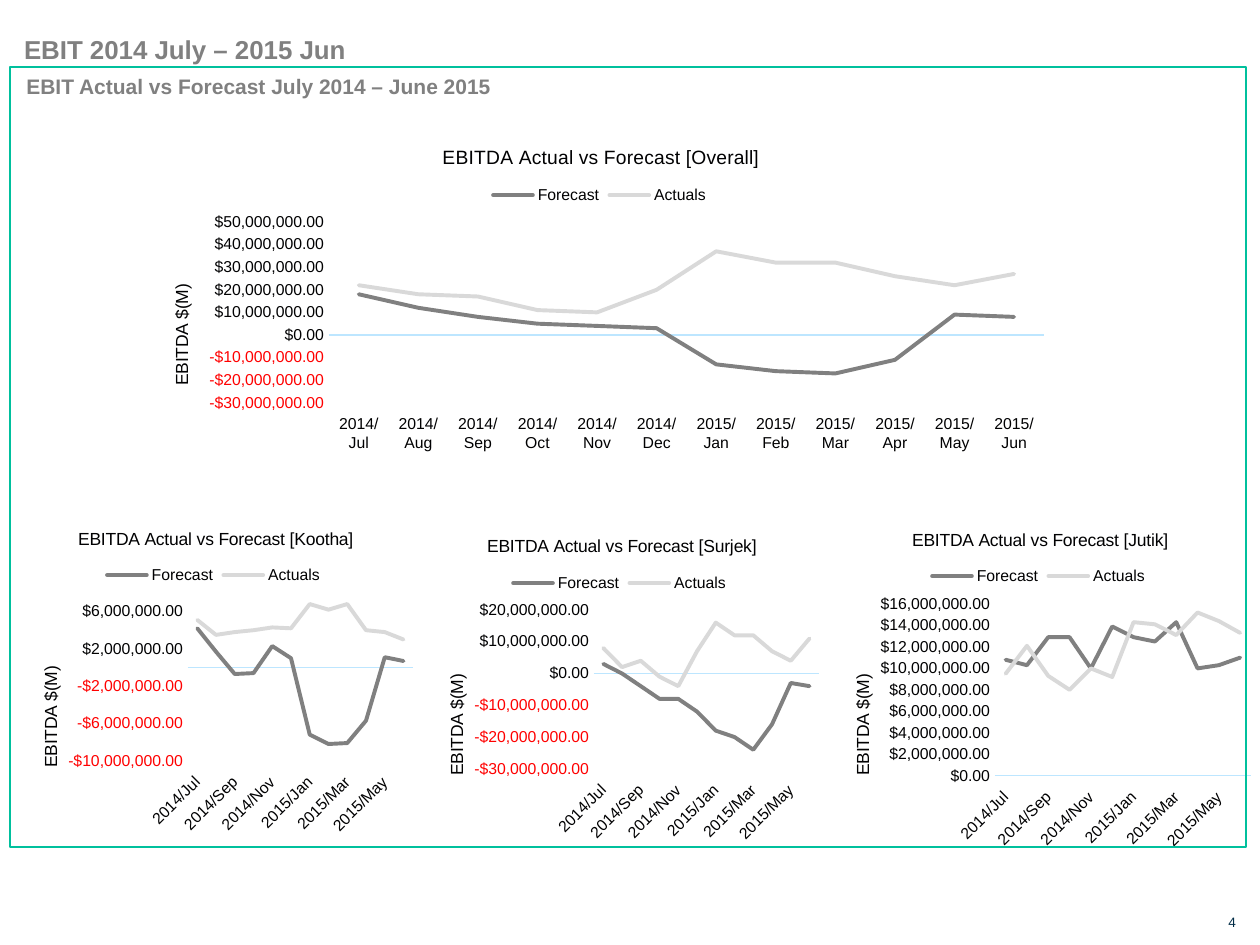
"""Build a slide of four EBITDA line charts, actual against forecast."""
from lxml import etree
from pptx import Presentation
from pptx.chart.data import CategoryChartData
from pptx.dml.color import RGBColor
from pptx.enum.chart import XL_CHART_TYPE, XL_LEGEND_POSITION, XL_TICK_LABEL_POSITION, XL_TICK_MARK
from pptx.enum.shapes import MSO_SHAPE
from pptx.enum.text import MSO_ANCHOR, MSO_AUTO_SIZE, PP_ALIGN
from pptx.oxml.ns import qn
from pptx.util import Pt

LINE = XL_CHART_TYPE.LINE
TOP = XL_LEGEND_POSITION.TOP
LOW = XL_TICK_LABEL_POSITION.LOW
NONE = XL_TICK_MARK.NONE
RECT = MSO_SHAPE.RECTANGLE
MIDDLE = MSO_ANCHOR.MIDDLE
FIXED = MSO_AUTO_SIZE.NONE
LEFT, RIGHT = PP_ALIGN.LEFT, PP_ALIGN.RIGHT

FONT = "Arial"
COLORS = {"grey": "808080", "pale": "D9D9D9", "ink": "010102",
          "axis": "BDE6FF", "frame": "00C09D", "navy": "002C46"}
MONEY = '"$"#,##0.00;[Red]\\-"$"#,##0.00'
MILLION = 1000000
MONTHS = ["2014/Jul", "2014/Aug", "2014/Sep", "2014/Oct", "2014/Nov", "2014/Dec",
          "2015/Jan", "2015/Feb", "2015/Mar", "2015/Apr", "2015/May", "2015/Jun"]

CHARTS = [
    {"name": "Overall", "size": 11, "turn": 0, "scale": (-30, 50, 10),
     "box": (139, 121, 924, 338), "plot": (329, 222, 715, 181),
     "title": (439, 140), "legend": (488, 181), "label": (167, 281),
     "Forecast": [18, 12, 8, 5, 4, 3, -13, -16, -17, -11, 9, 8],
     "Actuals": [22, 18, 17, 11, 10, 20, 37, 32, 32, 26, 22, 27]},
    {"name": "Kootha", "size": 10, "turn": -45, "scale": (-10, 8, 4),
     "box": (8, 505, 415, 338), "plot": (188, 593, 225, 168),
     "title": (75, 524), "legend": (102, 561), "label": (36, 663),
     "Forecast": [4.2, 1.7, -0.7, -0.6, 2.3, 1, -7.2, -8.2, -8.1, -5.7, 1.1, 0.7],
     "Actuals": [5.1, 3.5, 3.8, 4, 4.3, 4.2, 6.8, 6.2, 6.8, 4, 3.8, 3]},
    {"name": "Surjek", "size": 10, "turn": -45, "scale": (-30, 20, 10),
     "box": (413, 513, 415, 338), "plot": (594, 610, 225, 159),
     "title": (484, 531), "legend": (508, 569), "label": (442, 671),
     "Forecast": [3, 0, -4, -8, -8, -12, -18, -20, -24, -16, -3, -4],
     "Actuals": [8, 2, 4, -1, -4, 7, 16, 12, 12, 7, 4, 11]},
    {"name": "Jutik", "size": 10, "turn": -45, "scale": (0, 16, 2),
     "box": (820, 507, 440, 352), "plot": (995, 604, 256, 172),
     "title": (909, 525), "legend": (927, 562), "label": (848, 671),
     "Forecast": [10.8, 10.3, 12.9, 12.9, 10, 13.9, 12.9, 12.5, 14.3, 10, 10.3, 11],
     "Actuals": [9.5, 12.1, 9.3, 8, 10, 9.2, 14.3, 14.1, 13.1, 15.2, 14.4, 13.3]},
]


def px(*nums):
    return [round(n * 914400 / 126) for n in nums]


def color(key):
    return RGBColor.from_string(COLORS[key])


def style(font, size, key, bold=False):
    font.name, font.size, font.bold = FONT, Pt(size), bold
    font.color.rgb = color(key)


def write(shape, text, size, key, bold=False, align=LEFT, inset=None):
    frame = shape.text_frame
    frame.word_wrap, frame.auto_size = True, FIXED
    if inset is not None:
        frame.margin_left = frame.margin_right = inset
        frame.margin_top = frame.margin_bottom = inset
        frame.vertical_anchor = MIDDLE
    line = frame.paragraphs[0]
    line.text, line.alignment = text, align
    style(line.font, size, key, bold)


def place(node, index, spot, box):
    """Pin a chart part at a px spot inside the chart's box."""
    for old in node.findall(qn("c:layout")):
        node.remove(old)
    layout = etree.Element(qn("c:layout"))
    node.insert(index, layout)
    manual = etree.SubElement(layout, qn("c:manualLayout"))
    parts = [("xMode", "edge"), ("yMode", "edge"),
             ("x", (spot[0] - box[0]) / box[2]), ("y", (spot[1] - box[1]) / box[3])]
    if len(spot) == 4:
        parts = [("layoutTarget", "inner"), *parts,
                 ("w", spot[2] / box[2]), ("h", spot[3] / box[3])]
    for tag, val in parts:
        etree.SubElement(manual, qn("c:" + tag)).set("val", str(val))


def caption(title, text, size, spot, box):
    line = title.text_frame.paragraphs[0]
    line.text = text
    style(line.font, size, "ink")
    place(title._element, 1, spot, box)


def draw(slide, item):
    data = CategoryChartData(number_format=MONEY)
    data.categories = MONTHS
    for name in ("Forecast", "Actuals"):
        data.add_series(name, [round(v * MILLION) for v in item[name]])
    box = item["box"]
    chart = slide.shapes.add_chart(LINE, *px(*box), data).chart
    style(chart.font, 10, "ink")

    chart.has_title = True
    caption(chart.chart_title, f"EBITDA Actual vs Forecast [{item['name']}]",
            item["size"], item["title"], box)
    chart.has_legend = True
    chart.legend.position = TOP
    chart.legend.include_in_layout = False
    style(chart.legend.font, 9, "ink")
    place(chart.legend._element, 1, item["legend"], box)

    months, money = chart.category_axis, chart.value_axis
    for axis in (months, money):
        axis.major_tick_mark = axis.minor_tick_mark = NONE
        axis.has_major_gridlines = False
        style(axis.tick_labels.font, 9, "ink")
    months.tick_label_position = LOW
    months.format.line.color.rgb = color("axis")
    months.format.line.width = Pt(0.75)
    if item["turn"]:
        body = months._element.find(qn("c:txPr")).find(qn("a:bodyPr"))
        body.set("rot", str(item["turn"] * 60000))
        body.set("vert", "horz")

    low, high, step = item["scale"]
    money.minimum_scale, money.maximum_scale = low * MILLION, high * MILLION
    money.major_unit = step * MILLION
    money.format.line.fill.background()
    money.tick_labels.number_format = MONEY
    money.tick_labels.number_format_is_linked = False
    caption(money.axis_title, "EBITDA $(M)", 10, item["label"], box)
    body = money.axis_title._element.find(".//" + qn("a:bodyPr"))
    body.set("rot", "-5400000")
    body.set("vert", "horz")

    plot = chart.plots[0]
    plot.vary_by_categories = False
    for series, key in zip(plot.series, ("grey", "pale")):
        series.smooth = False
        series.format.line.color.rgb = color(key)
        series.format.line.width = Pt(2.25)
        series.format.line._ln.set("cap", "rnd")
    place(months._element.getparent(), 0, item["plot"], box)


def main():
    deck = Presentation()
    deck.slide_width, deck.slide_height = px(1260, 945)
    slide = deck.slides.add_slide(deck.slide_layouts[5])
    shapes = slide.shapes

    title = shapes.title
    title.left, title.top, title.width, title.height = px(24, 33, 1212, 32)
    write(title, "EBIT 2014 July – 2015 Jun", 14.8, "grey", True, inset=0)

    for item in CHARTS:
        draw(slide, item)

    head = shapes.add_textbox(*px(14, 67, 1196, 38))
    write(head, "EBIT Actual vs Forecast July 2014 – June 2015", 12, "grey", True)

    frame = shapes.add_shape(RECT, *px(10, 67, 1236, 780))
    frame.shadow.inherit = False
    frame.fill.background()
    frame.line.color.rgb = color("frame")
    frame.line.width = Pt(1.5)

    page = shapes.add_textbox(*px(1218, 914, 18, 17))
    write(page, "4", 7.8, "navy", align=RIGHT, inset=0)
    deck.save("out.pptx")


if __name__ == "__main__":
    main()
